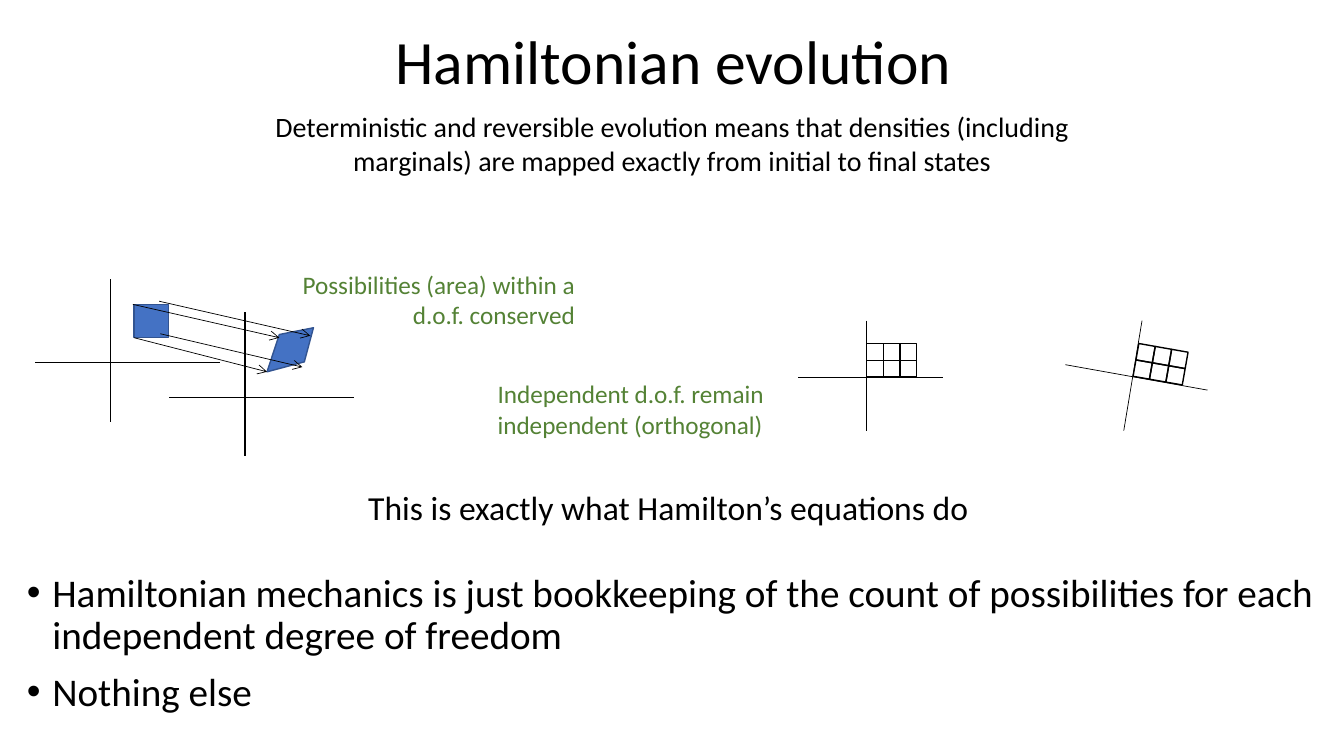
"""Build the slide on Hamiltonian evolution as a map of areas and independent directions."""
import math

from lxml import etree
from pptx import Presentation
from pptx import util as u
from pptx.dml.color import RGBColor
from pptx.enum import shapes, text
from pptx.oxml import ns

BLACK = RGBColor(0x00, 0x00, 0x00)
GREEN = RGBColor(0x54, 0x82, 0x35)
BLUE = RGBColor(0x44, 0x72, 0xC4)
DARK_BLUE = RGBColor(0x32, 0x54, 0x91)
FONT = "Calibri"
LEFT, CENTER, RIGHT = text.PP_ALIGN.LEFT, text.PP_ALIGN.CENTER, text.PP_ALIGN.RIGHT

TEXTS = [
    (["Hamiltonian evolution"], (0.53, 0.38, 32.89, 2.49),
     dict(size=44, align=CENTER, anchor=text.MSO_ANCHOR.MIDDLE, line_spacing=0.9)),
    (["Deterministic and reversible evolution means that densities (including marginals) "
      "are mapped exactly from initial to final states"],
     (6.02, 2.64, 21.84, 1.96), dict(size=20, align=CENTER)),
    (["Possibilities (area) within a d.o.f. conserved"],
     (6.48, 6.65, 8.26, 1.8), dict(size=18, align=RIGHT, color=GREEN)),
    (["Independent d.o.f. remain", "independent (orthogonal)"],
     (12.29, 9.42, 7.44, 1.8), dict(size=18, color=GREEN, wrap=False)),
    (["This is exactly what Hamilton’s equations do"],
     (5.92, 12.14, 21.84, 1.27), dict(size=24, align=CENTER)),
    (["Hamiltonian mechanics is just bookkeeping of the count of possibilities "
      "for each independent degree of freedom", "Nothing else"],
     (0.43, 14.33, 32.94, 4.17), dict(size=28, line_spacing=0.9, gap=10, bullet=True)),
]

AREAS = [
    [(3.38, 7.67), (4.24, 7.67), (4.24, 8.51), (3.38, 8.51)],
    [(7.04, 8.43), (7.9, 8.26), (7.67, 9.12), (6.73, 9.37)],
]
AREA_AXES = [
    (2.79, 7.04, 2.79, 10.64), (0.89, 9.14, 5.54, 9.14),
    (6.17, 7.87, 6.17, 11.48), (4.27, 10.01, 8.92, 10.01),
]
MAP_ARROWS = [
    (3.38, 8.51, 6.73, 9.37), (4.04, 8.41, 7.62, 9.25),
    (4.01, 7.59, 7.82, 8.46), (3.35, 7.67, 7.04, 8.51),
]
GRID_AXES = [
    (21.84, 8.08, 21.84, 10.87), (20.12, 9.5, 23.77, 9.5),
    (28.78, 8.08, 28.32, 10.85), (26.85, 9.19, 30.43, 9.83),
]
GRIDS = [(22.05, 8.87, 0), (28.87, 8.9, 10)]
GRID_ROWS, GRID_COLUMNS, CELL = 2, 3, 0.42


def add_text(slide, lines, box, size, color=BLACK, align=LEFT, anchor=text.MSO_ANCHOR.TOP,
             line_spacing=1.0, gap=0, wrap=True, bullet=False):
    frame = slide.shapes.add_textbox(*map(u.Cm, box)).text_frame
    frame.word_wrap = wrap
    frame.vertical_anchor = anchor
    for index, line in enumerate(lines):
        paragraph = frame.add_paragraph() if index else frame.paragraphs[0]
        paragraph.alignment = align
        paragraph.line_spacing = line_spacing
        paragraph.space_before = u.Pt(gap if index else 0)
        if bullet:
            properties = paragraph._p.get_or_add_pPr()
            properties.set("marL", str(u.Cm(0.64)))
            properties.set("indent", str(u.Cm(-0.64)))
            etree.SubElement(properties, ns.qn("a:buFont"), typeface="Arial")
            etree.SubElement(properties, ns.qn("a:buChar"), char="•")
        run = paragraph.add_run()
        run.text = line
        run.font.name = FONT
        run.font.size = u.Pt(size)
        run.font.color.rgb = color


def add_line(slide, ends, width, arrow=False):
    line = slide.shapes.add_connector(shapes.MSO_CONNECTOR.STRAIGHT, *map(u.Cm, ends))
    line.line.color.rgb = BLACK
    line.line.width = u.Pt(width)
    if arrow:
        etree.SubElement(line.line._get_or_add_ln(), ns.qn("a:tailEnd"), type="arrow")
    etree.SubElement(line._element.spPr, ns.qn("a:effectLst"))


def add_area(slide, corners):
    points = [(u.Cm(x), u.Cm(y)) for x, y in corners]
    builder = slide.shapes.build_freeform(*points[0])
    builder.add_line_segments(points[1:], close=True)
    area = builder.convert_to_shape()
    area.shadow.inherit = False
    area.fill.solid()
    area.fill.fore_color.rgb = BLUE
    area.line.color.rgb = DARK_BLUE
    area.line.width = u.Pt(1)


def add_grid(slide, first_x, first_y, angle):
    cosine, sine = math.cos(math.radians(angle)), math.sin(math.radians(angle))
    for row in range(GRID_ROWS):
        for column in range(GRID_COLUMNS):
            center_x = first_x + CELL * (column * cosine - row * sine)
            center_y = first_y + CELL * (column * sine + row * cosine)
            cell = slide.shapes.add_shape(
                shapes.MSO_SHAPE.RECTANGLE, u.Cm(center_x - CELL / 2),
                u.Cm(center_y - CELL / 2), u.Cm(CELL), u.Cm(CELL))
            cell.rotation = angle
            cell.shadow.inherit = False
            cell.fill.background()
            cell.line.color.rgb = BLACK
            cell.line.width = u.Pt(1)


def main():
    presentation = Presentation()
    presentation.slide_width, presentation.slide_height = u.Cm(33.87), u.Cm(19.05)
    slide = presentation.slides.add_slide(presentation.slide_layouts[6])
    for lines, box, style in TEXTS:
        add_text(slide, lines, box, **style)
    for corners in AREAS:
        add_area(slide, corners)
    for ends in AREA_AXES:
        add_line(slide, ends, 1)
    for ends in MAP_ARROWS:
        add_line(slide, ends, 0.5, arrow=True)
    for ends in GRID_AXES:
        add_line(slide, ends, 0.5)
    for grid in GRIDS:
        add_grid(slide, *grid)
    presentation.save("out.pptx")


if __name__ == "__main__":
    main()
